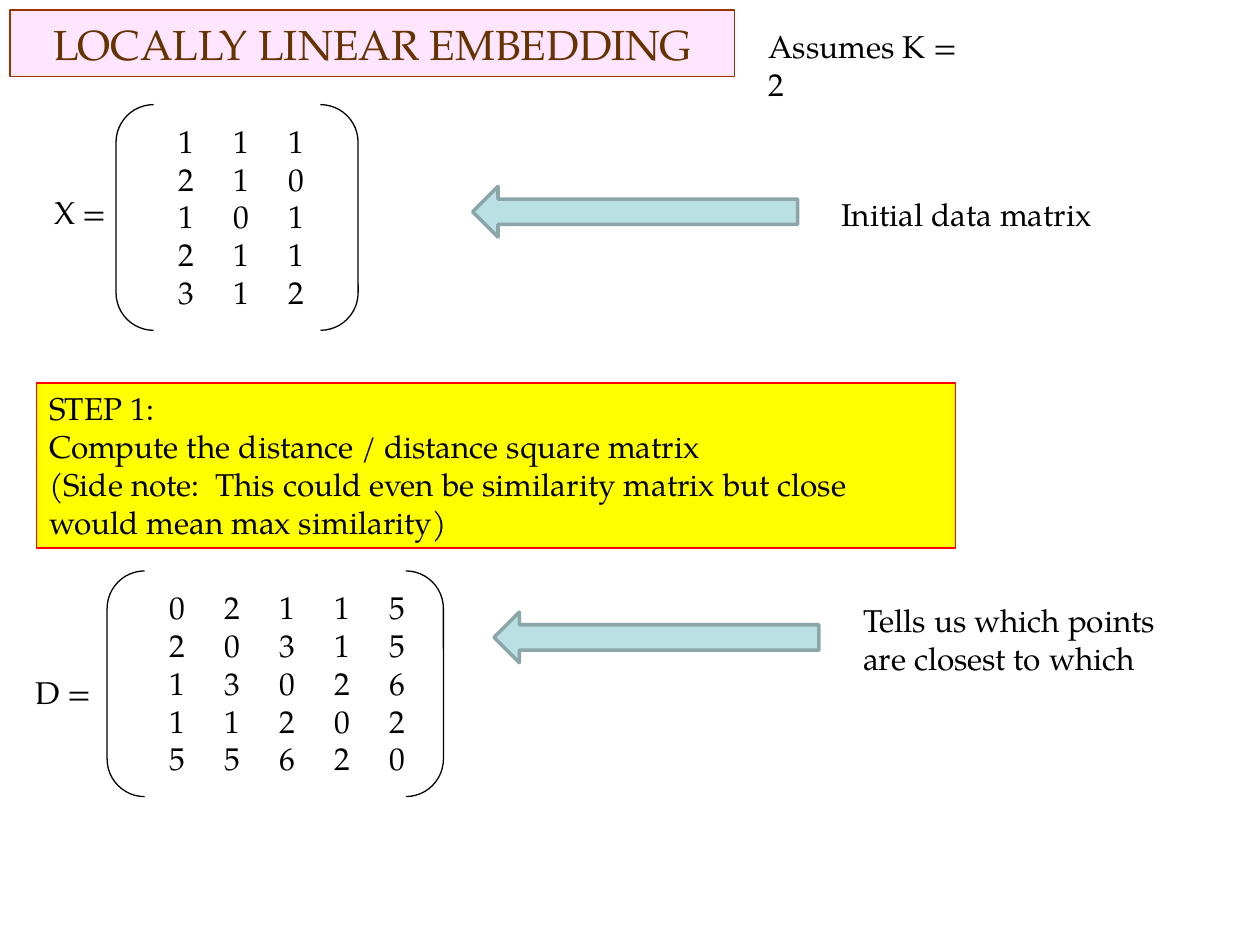
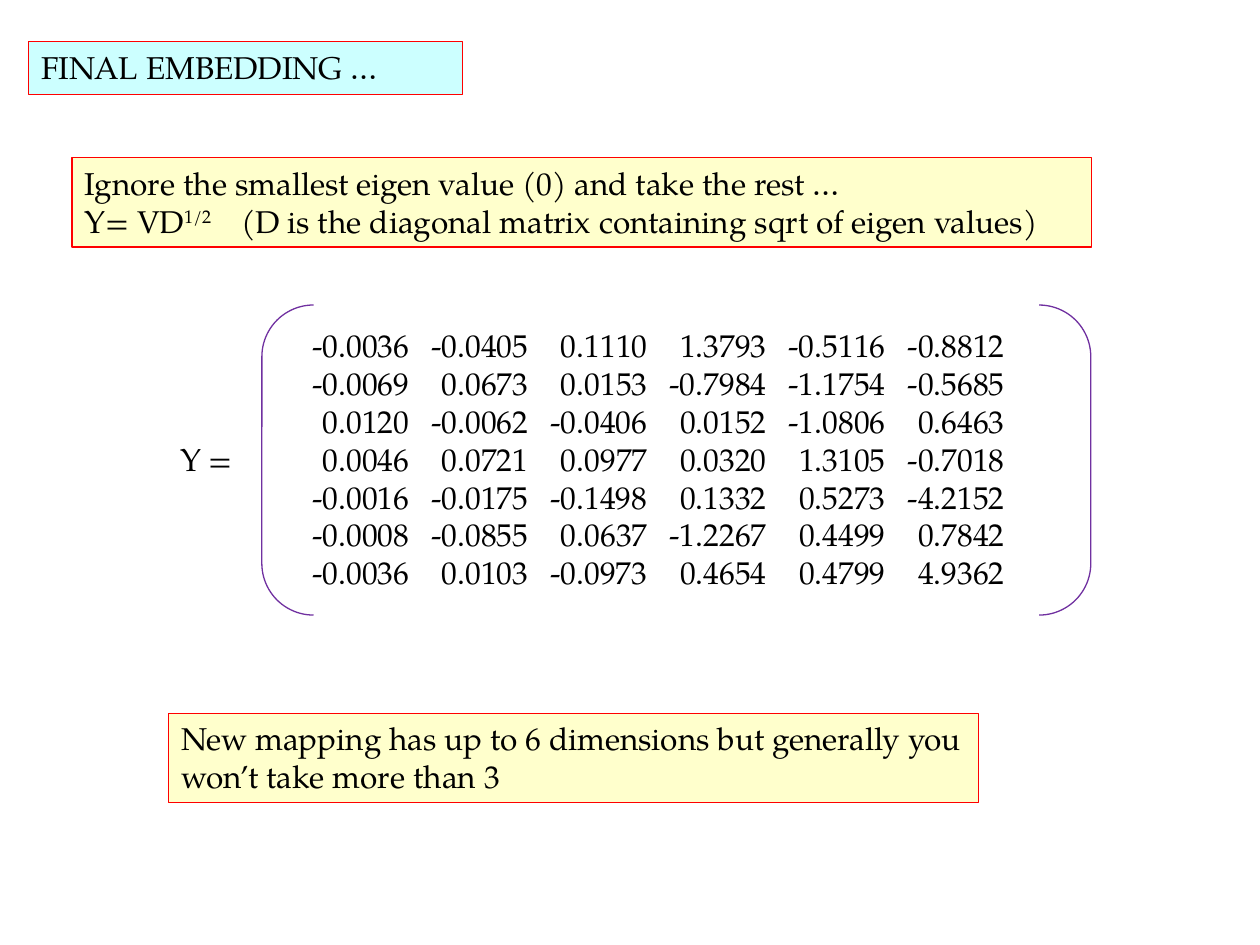
from lxml.etree import SubElement
from pptx import Presentation
from pptx.dml.color import RGBColor
from pptx.enum.shapes import MSO_SHAPE as Preset
from pptx.enum.text import MSO_ANCHOR as Anchor, MSO_AUTO_SIZE as AutoSize, PP_ALIGN as Align
from pptx.oxml.ns import qn
from pptx.util import Cm, Pt

COLORS = {
    "text": "000000",
    "title": "663300",
    "title_fill": "FFE5FF",
    "title_line": "993300",
    "box_line": "FF0000",
    "step": "FFFF00",
    "heading": "CCFFFF",
    "note": "FFFFCC",
    "arrow": "BBE0E3",
    "arrow_line": "8AA6A8",
    "bracket": "000000",
    "embedding_bracket": "7030A0",
}
FONT = {"name": "TeX Gyre Pagella", "size": Pt(18), "bold": False}
TITLE_FONT = FONT | {"size": Pt(24)}
FRAME = {"word_wrap": True, "auto_size": AutoSize.NONE, "vertical_anchor": Anchor.TOP}

DATA = ["1 1 1", "2 1 0", "1 0 1", "2 1 1", "3 1 2"]
DISTANCES = ["0 2 1 1 5", "2 0 3 1 5", "1 3 0 2 6", "1 1 2 0 2", "5 5 6 2 0"]
EMBEDDING = [
    "-0.0036 -0.0405 0.1110 1.3793 -0.5116 -0.8812",
    "-0.0069 0.0673 0.0153 -0.7984 -1.1754 -0.5685",
    "0.0120 -0.0062 -0.0406 0.0152 -1.0806 0.6463",
    "0.0046 0.0721 0.0977 0.0320 1.3105 -0.7018",
    "-0.0016 -0.0175 -0.1498 0.1332 0.5273 -4.2152",
    "-0.0008 -0.0855 0.0637 -1.2267 0.4499 0.7842",
    "-0.0036 0.0103 -0.0973 0.4654 0.4799 4.9362",
]


def color(name):
    return RGBColor.from_string(COLORS[name])


def apply(target, values):
    for name, value in values.items():
        setattr(target, name, value)


def place(shape, box):
    apply(shape, dict(zip(("left", "top", "width", "height"), map(Cm, box))))


def paint(shape, fill, line, width=0.75):
    if fill:
        shape.fill.solid()
        shape.fill.fore_color.rgb = color(fill)
    else:
        shape.fill.background()
    shape.line.color.rgb = color(line)
    shape.line.width = Pt(width)


def add_tabs(paragraph, stops, align):
    tab_list = SubElement(paragraph._p.get_or_add_pPr(), qn("a:tabLst"))
    for stop in stops:
        SubElement(tab_list, qn("a:tab"), pos=str(Cm(stop)), algn=align)


def add_run(paragraph, text, font=FONT, ink="text"):
    run = paragraph.add_run()
    run.text = text
    apply(run.font, font)
    run.font.color.rgb = color(ink)
    return run


def write(shape, lines, stops=(), tab_align="l", frame=FRAME, align=Align.LEFT, font=FONT, ink="text"):
    text_frame = shape.text_frame
    apply(text_frame, frame)
    for index, line in enumerate(lines):
        paragraph = text_frame.add_paragraph() if index else text_frame.paragraphs[0]
        if stops:
            add_tabs(paragraph, stops, tab_align)
        paragraph.alignment = align
        add_run(paragraph, line, font, ink)


def add_preset(slide, preset, box, fill, line, width=0.75):
    shape = slide.shapes.add_shape(preset, *map(Cm, box))
    shape.shadow.inherit = False
    paint(shape, fill, line, width)
    return shape


def add_title(slide, text, box, fill, line, **style):
    title = slide.shapes.title
    place(title, box)
    paint(title, fill, line)
    write(title, [text], **style)


def add_label(slide, text, box, wrap=False):
    label = slide.shapes.add_textbox(*map(Cm, box))
    write(label, [text], frame=FRAME | {"word_wrap": wrap})


def add_box(slide, lines, box, fill):
    shape = add_preset(slide, Preset.RECTANGLE, box, fill, "box_line")
    write(shape, lines)
    return shape


def add_matrix(slide, rows, box, first_stop, pitch, tab_align="l", line="bracket"):
    bracket = add_preset(slide, Preset.DOUBLE_BRACKET, box, None, line)
    cells = [row.split() for row in rows]
    stops = [first_stop + pitch * column for column in range(len(cells[0]))]
    write(bracket, ["\t" + "\t".join(row) for row in cells], stops, tab_align)


def add_left_arrow(slide, left, top):
    add_preset(slide, Preset.LEFT_ARROW, (left, top, 6.55, 1.02), "arrow", "arrow_line", 2)


def build_distance_slide(slide):
    add_title(
        slide, "LOCALLY LINEAR EMBEDDING", (0.2, 0.2, 14.61, 1.35), "title_fill", "title_line",
        frame=FRAME | {"vertical_anchor": Anchor.MIDDLE}, align=Align.CENTER,
        font=TITLE_FONT, ink="title",
    )
    add_label(slide, "Assumes K = 2", (15.24, 0.43, 4.75, 1.02), wrap=True)

    add_matrix(slide, DATA, (2.34, 2.11, 4.88, 4.55), 0.78, 1.11)
    add_label(slide, "X =", (0.84, 3.76, 1.65, 1.02))
    add_left_arrow(slide, 9.53, 3.76)
    add_label(slide, "Initial data matrix", (16.71, 3.81, 5.61, 1.02))

    add_box(slide, [
        "STEP 1:",
        "Compute the distance / distance square matrix",
        "(Side note:  This could even be similarity matrix but close would mean max similarity)",
    ], (0.74, 7.72, 18.52, 3.33), "step")

    add_matrix(slide, DISTANCES, (2.16, 11.51, 6.78, 4.55), 0.78, 1.11)
    add_label(slide, "D =", (0.46, 13.44, 1.73, 1.02))
    add_left_arrow(slide, 9.96, 12.34)
    add_label(slide, "Tells us which points are closest to which", (17.15, 11.99, 7.19, 1.8), wrap=True)


def build_embedding_slide(slide):
    add_title(slide, "FINAL EMBEDDING …", (0.58, 0.84, 8.74, 1.07), "heading", "box_line")

    note = add_box(
        slide, ["Ignore the smallest eigen value (0) and take the rest …"],
        (1.45, 3.18, 20.55, 1.8), "note",
    )
    formula = note.text_frame.add_paragraph()
    add_tabs(formula, [3.16], "l")
    formula.alignment = Align.LEFT
    add_run(formula, "Y= VD")
    exponent = add_run(formula, "1/2")
    exponent._r.get_or_add_rPr().set("baseline", "30000")
    add_run(formula, "\t(D is the diagonal matrix containing sqrt of eigen values)")

    add_matrix(slide, EMBEDDING, (5.28, 6.15, 16.71, 6.25), 2.42, 2.4, "r", "embedding_bracket")
    add_label(slide, "Y =", (3.38, 8.74, 1.65, 1.02))
    add_box(
        slide, ["New mapping has up to 6 dimensions but generally you won’t take more than 3"],
        (3.4, 14.38, 16.33, 1.8), "note",
    )


def main():
    presentation = Presentation()
    presentation.slide_width = Cm(25.4)
    presentation.slide_height = Cm(19.05)
    title_only = presentation.slide_layouts[5]
    for build in (build_distance_slide, build_embedding_slide):
        build(presentation.slides.add_slide(title_only))
    presentation.save("out.pptx")


if __name__ == "__main__":
    main()
